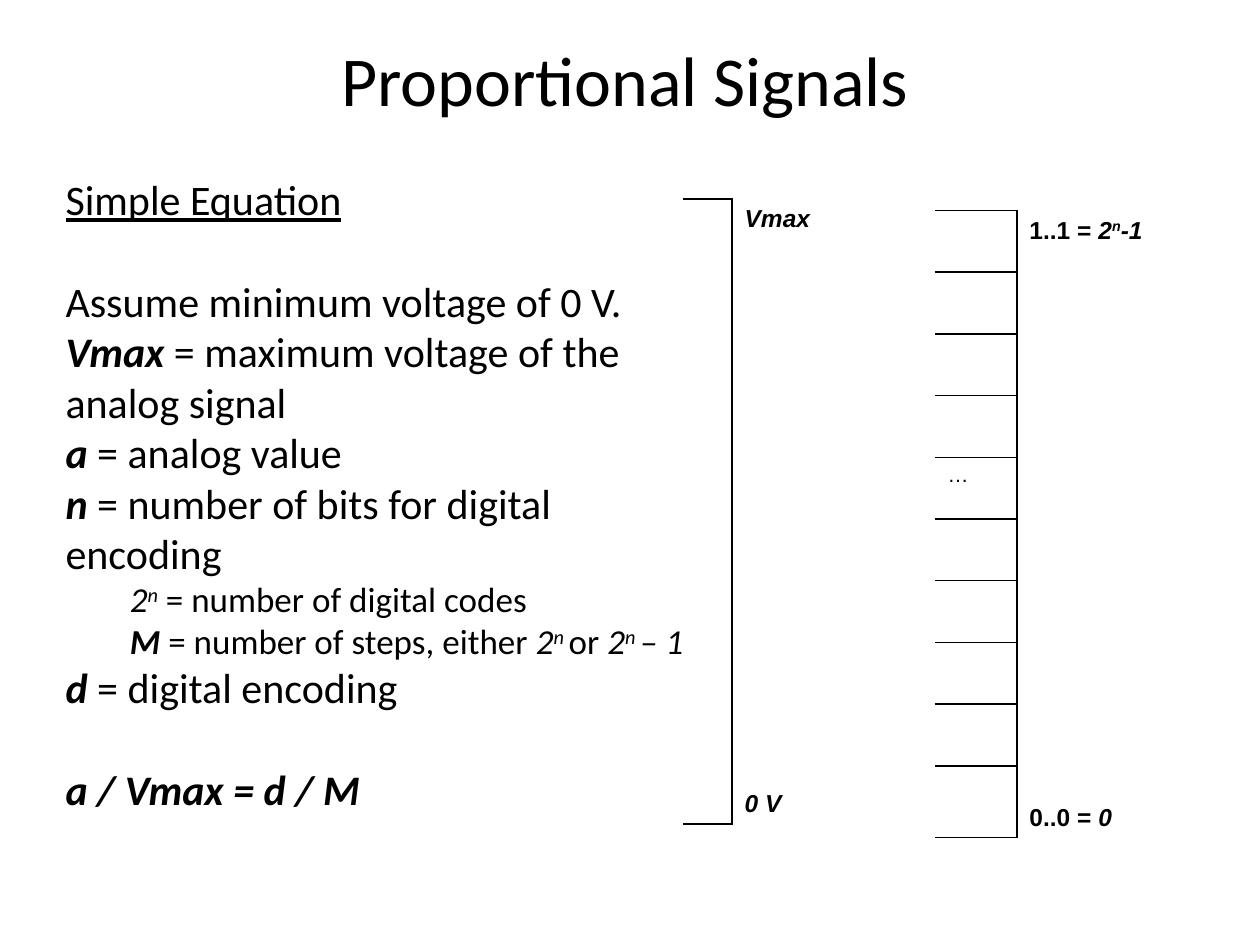
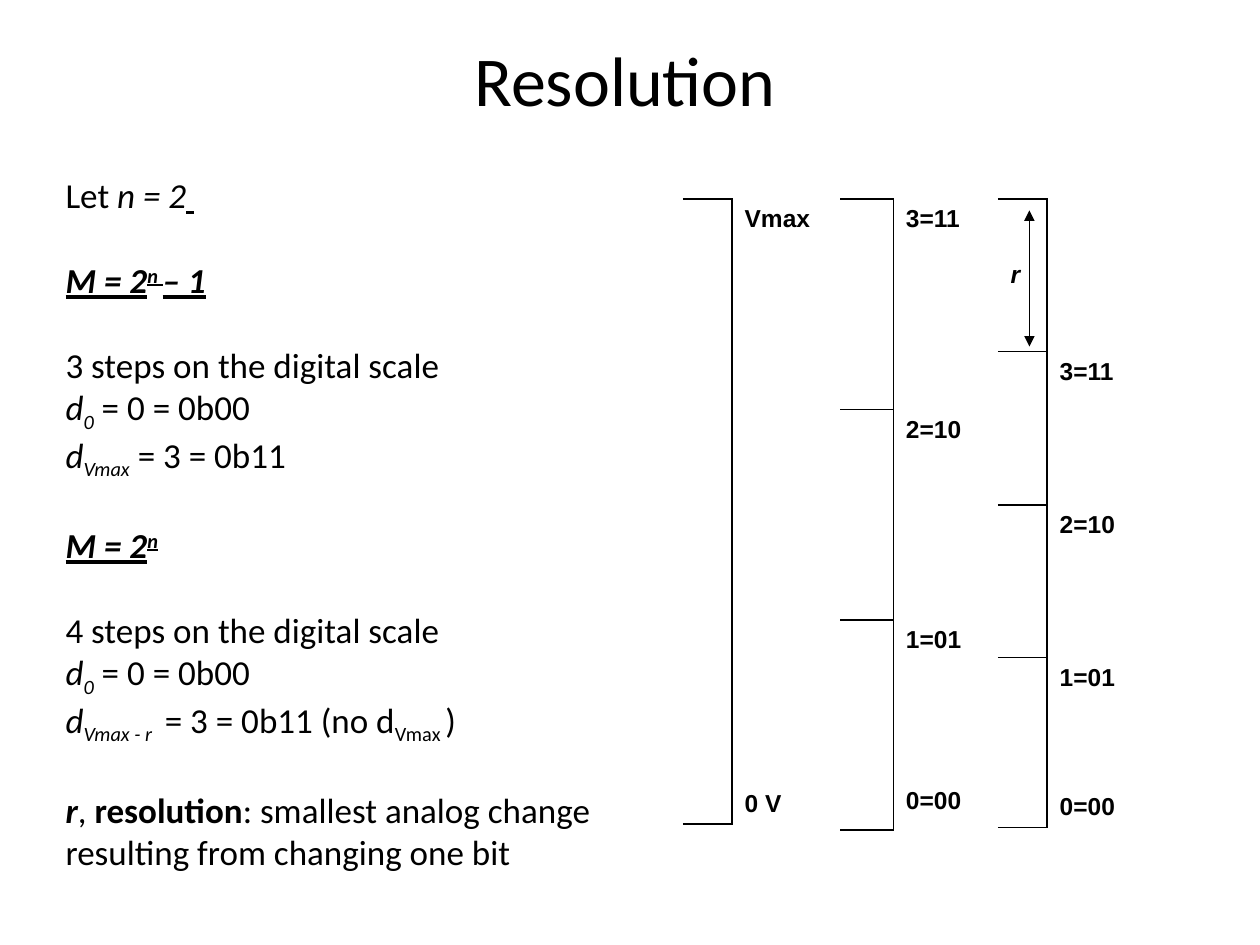
from dataclasses import dataclass

from lxml import etree
from pptx import Presentation
from pptx.dml.color import RGBColor
from pptx.enum.shapes import MSO_CONNECTOR
from pptx.enum.text import MSO_ANCHOR, MSO_AUTO_SIZE, PP_ALIGN
from pptx.oxml.ns import qn
from pptx.util import Inches, Pt

STRAIGHT = MSO_CONNECTOR.STRAIGHT
TOP, MIDDLE, BOTTOM = MSO_ANCHOR.TOP, MSO_ANCHOR.MIDDLE, MSO_ANCHOR.BOTTOM
CENTER = PP_ALIGN.CENTER
NO_FIT = MSO_AUTO_SIZE.NONE

INK = "000000"
TEXT_FONT, LABEL_FONT = "Calibri", "Arial"
LABEL_SIZE = 14
TITLE_BOX = (0.67, 0, 8.58, 1.25)
SCALE_TOP = 1.58
LINE_HEIGHT = 1.22
PLAIN_TABLE = "{2D5ABB26-0587-4C30-8999-92F81FD0307C}"


@dataclass
class Line:
    """A paragraph: spans are (text, style); style letters are b, i, u, ^ and _."""
    spans: list
    gap: float = 0
    level: int = 0
    size: float = 0


@dataclass
class Label:
    """The text of one table cell."""
    lines: list
    anchor: int = TOP


def color(hex_string):
    return RGBColor.from_string(hex_string)


# Text
def format_span(span, style, size, font):
    span.font.name = font
    span.font.size = Pt(size)
    span.font.color.rgb = color(INK)
    span.font.bold = "b" in style
    span.font.italic = "i" in style
    span.font.underline = "u" in style
    if "^" in style:
        span.font._element.set("baseline", "30000")
    elif "_" in style:
        span.font._element.set("baseline", "-25000")


def write_lines(frame, lines, size, font):
    frame.word_wrap = True
    for number, line in enumerate(lines):
        para = frame.add_paragraph() if number else frame.paragraphs[0]
        para.level = line.level
        para.space_before = Pt(line.gap)
        for text, style in line.spans:
            span = para.add_run()
            span.text = text
            format_span(span, style, line.size or size, font)


def place(shape, box):
    shape.left, shape.top, shape.width, shape.height = map(Inches, box)


def remove_bullet(para, level):
    properties = para._p.get_or_add_pPr()
    properties.set("marL", str(Inches(1.09 if level else 0)))
    properties.set("indent", str(Inches(-0.58 if level else 0)))
    etree.SubElement(properties, qn("a:buNone"))


# Title and body placeholders
def add_page(deck, title, lines, body_box, size):
    page = deck.slides.add_slide(deck.slide_layouts[1])
    heading = page.shapes.title
    place(heading, TITLE_BOX)
    heading.text_frame.text = title
    heading.text_frame.vertical_anchor = MIDDLE
    heading.text_frame.paragraphs[0].alignment = CENTER
    format_span(heading.text_frame.paragraphs[0].runs[0], "", 40, TEXT_FONT)

    body = page.placeholders[1]
    place(body, body_box)
    body.text_frame.auto_size = NO_FIT
    write_lines(body.text_frame, lines, size, TEXT_FONT)
    for para, line in zip(body.text_frame.paragraphs, lines):
        remove_bullet(para, line.level)
    return page


# Scales: tables whose first column carries the ticks
def draw_borders(cell, sides):
    properties = cell._tc.get_or_add_tcPr()
    for side in "LRTB":
        border = etree.SubElement(properties, qn(f"a:ln{side}"), w=str(Pt(1)))
        if side in sides:
            fill = etree.SubElement(border, qn("a:solidFill"))
            etree.SubElement(fill, qn("a:srgbClr"), val=INK)
        else:
            etree.SubElement(border, qn("a:noFill"))
    cell.fill.background()


def add_scale(page, left, top, widths, heights, labels, ticks=True):
    frame = page.shapes.add_table(
        len(heights), 2, Inches(left), Inches(top),
        Inches(sum(widths)), Inches(sum(heights)))
    table = frame.table
    table.first_row = table.horz_banding = False
    table._tbl.tblPr.find(qn("a:tableStyleId")).text = PLAIN_TABLE
    for column, width in zip(table.columns, widths):
        column.width = Inches(width)
    last = len(heights) - 1
    for number, height in enumerate(heights):
        table.rows[number].height = Inches(height)
        sides = "R"
        if ticks or number == 0:
            sides += "T"
        if ticks or number == last:
            sides += "B"
        draw_borders(table.cell(number, 0), sides)
        draw_borders(table.cell(number, 1), "L")
    for position, label in labels.items():
        cell = table.cell(*position)
        cell.vertical_anchor = label.anchor
        write_lines(cell.text_frame, label.lines, LABEL_SIZE, LABEL_FONT)


def add_voltage_scale(page, style):
    labels = {(0, 1): Label([Line([("Vmax", style)])]),
              (4, 1): Label([Line([("0 V", style)])], BOTTOM)}
    add_scale(page, 5.42, SCALE_TOP, (0.39, 0.78), [0.97] * 4 + [1.08],
              labels, ticks=False)


def add_code_scale(page):
    labels = {
        (0, 1): Label([Line([("1..1 = ", "b"), ("2", "bi"), ("n", "bi^"), ("-1", "bi")])]),
        (4, 0): Label([Line([("…", "")], size=12)]),
        (9, 1): Label([Line([("0..0 = ", "b"), ("0", "bi")])], BOTTOM)}
    add_scale(page, 7.42, 1.67, (0.65, 1.18), [0.49] * 9 + [0.57], labels)


def code_labels(first_row, zero_gap):
    labels = {(first_row + step, 1): Label([Line([(code, "b")])])
              for step, code in enumerate(("3=11", "2=10", "1=01"))}
    labels[first_row + 2, 1].lines.append(Line([("0=00", "b")], gap=zero_gap))
    return labels


def add_three_step_scale(page):
    add_scale(page, 6.67, SCALE_TOP, (0.42, 0.75), [1.67] * 3, code_labels(0, 76.5))


def add_four_step_scale(page, left):
    labels = code_labels(1, 58)
    labels[0, 0] = Label([Line([("r", "bi")])], MIDDLE)
    add_scale(page, left, SCALE_TOP, (0.39, 0.78), (1.21, 1.22, 1.21, 1.35), labels)
    add_step_arrow(page, left + 0.25, SCALE_TOP + 0.09, 1.08)


def add_step_arrow(page, x, top, height):
    arrow = page.shapes.add_connector(
        STRAIGHT, Inches(x), Inches(top), Inches(x), Inches(top + height))
    arrow.line.color.rgb = color(INK)
    arrow.line.width = Pt(0.75)
    line = arrow.line._get_or_add_ln()
    for end in ("a:headEnd", "a:tailEnd"):
        etree.SubElement(line, qn(end), type="triangle")
    etree.SubElement(arrow._element.spPr, qn("a:effectLst"))


# Slides
def build_proportional_signals(deck):
    size = 24
    gap = size * LINE_HEIGHT
    lines = [
        Line([("Simple Equation", "u")]),
        Line([("Assume minimum voltage of 0 V.", "")], gap),
        Line([("Vmax", "bi"), (" = maximum voltage of the analog signal", "")]),
        Line([("a", "bi"), (" = analog value", "")]),
        Line([("n", "bi"), (" = number of bits for digital encoding", "")]),
        Line([("2", "i"), ("n", "i^"), (" = number of digital codes", "")],
             level=1, size=20),
        Line([("M", "bi"), (" = number of steps, either ", ""), ("2", "i"),
              ("n ", "i^"), ("or ", ""), ("2", "i"), ("n ", "i^"), ("– 1", "i")],
             level=1, size=20),
        Line([("d", "bi"), (" = digital encoding", "")]),
        Line([("a / Vmax = d / M", "bi")], gap),
    ]
    page = add_page(deck, "Proportional Signals", lines, (0.42, 1.33, 5.17, 5.42), size)
    add_voltage_scale(page, "bi")
    add_code_scale(page)


def build_resolution(deck):
    size = 20
    gap = size * LINE_HEIGHT
    zero_code = Line([("d", "i"), ("0", "i_"), (" = 0 = 0b00", "")])
    lines = [
        Line([("Let ", ""), ("n = 2", "i"), (" ", "u")]),
        Line([("M = 2", "biu"), ("n ", "biu^"), ("– 1", "biu")], gap),
        Line([("3 steps on the digital scale", "")], gap),
        zero_code,
        Line([("d", "i"), ("Vmax", "i_"), (" = 3 = 0b11", "")]),
        Line([("M = 2", "biu"), ("n", "biu^")], gap),
        Line([("4 steps on the digital scale", "")], gap),
        zero_code,
        Line([("d", "i"), ("Vmax - r ", "i_"), (" = 3 = 0b11 (no d", ""),
              ("Vmax ", "_"), (")", "")]),
        Line([("r", "bi"), (", ", ""), ("resolution", "b"),
              (": smallest analog change resulting from changing one bit", "")], gap),
    ]
    page = add_page(deck, "Resolution", lines, (0.42, 1.33, 4.58, 5.67), size)
    add_voltage_scale(page, "b")
    add_three_step_scale(page)
    add_four_step_scale(page, 7.92)


def main():
    deck = Presentation()
    deck.slide_width, deck.slide_height = Inches(10), Inches(7.5)
    build_proportional_signals(deck)
    build_resolution(deck)
    deck.save("out.pptx")


if __name__ == "__main__":
    main()
